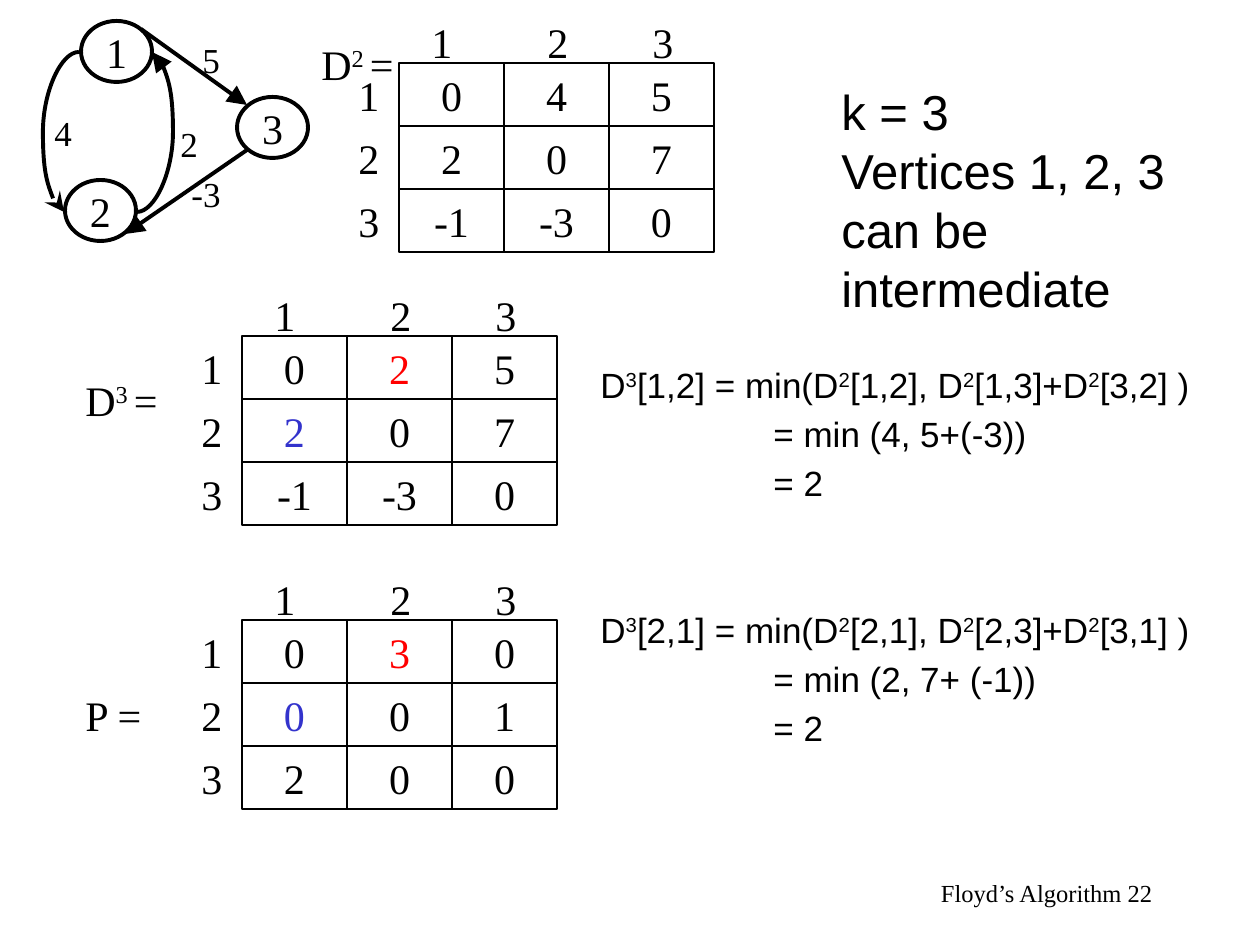
"""Build the slide on step k = 3 of Floyd's algorithm, with graph and matrices."""
import pptx
import pptx.dml.color
import pptx.enum.shapes
import pptx.enum.text
import pptx.oxml.ns
import pptx.util
from lxml import etree

PX = 7257
BLACK = pptx.dml.color.RGBColor(0, 0, 0)
RED = pptx.dml.color.RGBColor(255, 0, 0)
BLUE = pptx.dml.color.RGBColor(0x33, 0x33, 0xCC)
SERIF, SANS = "Times New Roman", "Arial"
LEFT = pptx.enum.text.PP_ALIGN.LEFT
RIGHT = pptx.enum.text.PP_ALIGN.RIGHT
MID = pptx.enum.text.PP_ALIGN.CENTER
MIDDLE = pptx.enum.text.MSO_ANCHOR.MIDDLE
LINKS = pptx.enum.shapes.MSO_CONNECTOR
RECT = pptx.enum.shapes.MSO_SHAPE.RECTANGLE
OVAL = pptx.enum.shapes.MSO_SHAPE.OVAL
qn = pptx.oxml.ns.qn


def write(frame, text, size=24, font=SERIF, align=LEFT, color=BLACK):
    """Fill a frame with text whose parts between carets are superscript."""
    frame.text = text
    for para in frame.paragraphs:
        parts = para.text.split("^")
        para.text = parts[0]
        for part in parts[1:]:
            para.add_run().text = part
        para.alignment = align
        for i, run in enumerate(para.runs):
            run.font.size = pptx.util.Pt(size)
            run.font.name = font
            run.font.color.rgb = color
            if len(parts) > 1 and i % 2:
                run.font._element.set("baseline", "30000")


def label(x, y, w, h, text, size=24, font=SERIF, align=LEFT, wrap=False):
    """Add a text box and return its frame."""
    box = slide.shapes.add_textbox(x * PX, y * PX, w * PX, h * PX)
    write(box.text_frame, text, size, font, align)
    box.text_frame.word_wrap = wrap
    return box.text_frame


deck = pptx.Presentation()
deck.slide_width = pptx.util.Inches(10)
deck.slide_height = pptx.util.Inches(7.5)
slide = deck.slides.add_slide(deck.slide_layouts[6])

foot = label(903, 861, 262, 63, "Floyd’s Algorithm 22", 14, align=RIGHT)
foot.vertical_anchor = MIDDLE
title = label(829, 84, 368, 231,
              "k = 3\vVertices 1, 2, 3 can be intermediate", 28, SANS, wrap=True)
title.vertical_anchor = MIDDLE

label(309, 32, 101, 63, "D^2 ^=")
label(73, 368, 101, 63, "D^3 ^=")
label(73, 683, 83, 63, "P =")

WIDE, HIGH = 105, 63
boxes = [(OVAL, x, y, 71, 61, name, BLACK, 2.25)
         for x, y, name in [(81, 21, "1"), (65, 180, "2"), (237, 97, "3")]]
marks = {(0, 1): RED, (1, 0): BLUE}
grids = [
    (399, 63, [["0", "4", "5"], ["2", "0", "7"], ["-1", "-3", "0"]], {}),
    (242, 336, [["0", "2", "5"], ["2", "0", "7"], ["-1", "-3", "0"]], marks),
    (242, 620, [["0", "3", "0"], ["0", "0", "1"], ["2", "0", "0"]], marks),
]
for x, y, rows, tints in grids:
    for r, row in enumerate(rows):
        for c, value in enumerate(row):
            boxes.append((RECT, x + c * WIDE, y + r * HIGH, WIDE, HIGH, value,
                          tints.get((r, c), BLACK), 1))
    for i, shift in enumerate((20, 136, 241)):
        label(x + shift, y - 53, 46, HIGH, str(i + 1))
        label(x - 53, y + i * HIGH, 46, HIGH, str(i + 1))

for kind, x, y, w, h, text, color, weight in boxes:
    box = slide.shapes.add_shape(kind, x * PX, y * PX, w * PX, h * PX)
    box.shadow.inherit = False
    box.fill.background()
    box.line.color.rgb = BLACK
    box.line.width = pptx.util.Pt(weight)
    write(box.text_frame, text, align=MID, color=color)
    box.text_frame.word_wrap = False
    box.text_frame.vertical_anchor = MIDDLE

sums = [
    (357, "D^3^[1,2] = min(D^2^[1,2], D^2^[1,3]+D^2^[3,2] )\n= min (4, 5+(-3))\n= 2"),
    (602, "D^3^[2,1] = min(D^2^[2,1], D^2^[2,3]+D^2^[3,1] )\n= min (2, 7+ (-1))\n= 2"),
]
for y, text in sums:
    frame = label(588, y, 640, 160, text, 20, SANS, wrap=True)
    for para in frame.paragraphs[1:]:
        para.space_before = pptx.util.Pt(4)
        para._p.get_or_add_pPr().set("marL", str(173 * PX))

edges = [
    (LINKS.STRAIGHT, 141, 29, 247, 105, "a:tailEnd", "triangle", None),
    (LINKS.STRAIGHT, 247, 150, 125, 234, "a:tailEnd", "triangle", None),
    (LINKS.CURVE, 64, 212, 79, 52, "a:headEnd", "stealth", -140600),
    (LINKS.CURVE, 137, 212, 152, 52, "a:tailEnd", "triangle", 240600),
]
for kind, x1, y1, x2, y2, end, tip, bend in edges:
    edge = slide.shapes.add_connector(kind, x1 * PX, y1 * PX, x2 * PX, y2 * PX)
    edge.line.color.rgb = BLACK
    edge.line.width = pptx.util.Pt(2.25)
    props = edge._element.spPr
    etree.SubElement(props.find(qn("a:ln")), qn(end), type=tip, w="lg", len="lg")
    etree.SubElement(props, qn("a:effectLst"))
    if bend:
        guides = props.find(qn("a:prstGeom")).find(qn("a:avLst"))
        etree.SubElement(guides, qn("a:gd"), name="adj1", fmla=f"val {bend}")

for x, y, w, cost in [(190, 32, 43, "5"), (179, 166, 54, "-3"),
                      (168, 116, 43, "2"), (42, 105, 43, "4")]:
    label(x, y, w, 54, cost, 20)

deck.save("out.pptx")
